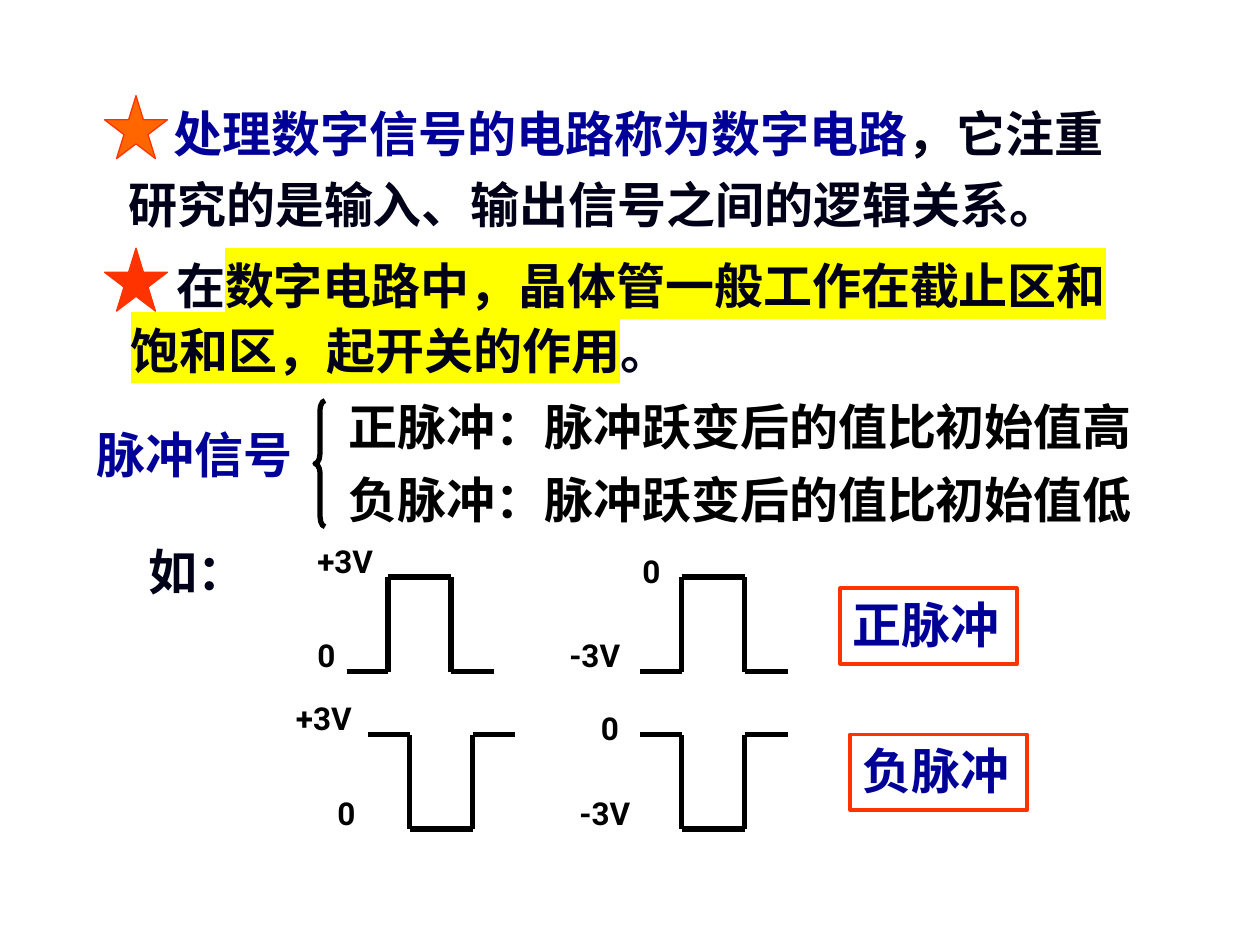
from itertools import pairwise

from lxml.etree import SubElement
from pptx import Presentation
from pptx.dml.color import RGBColor
from pptx.enum.shapes import MSO_CONNECTOR as Connector, MSO_SHAPE as Preset
from pptx.enum.text import MSO_ANCHOR as Anchor, MSO_AUTO_SIZE as AutoSize, PP_ALIGN as Align
from pptx.oxml.ns import qn
from pptx.util import Inches, Pt

FONT = "Roboto"
BLACK, INK, BLUE = "000000", "000018", "000099"
RED, ORANGE, YELLOW = "FF3300", "FF6600", "FFFF00"
PULSE_STEPS = (0, 0.33, 0.33, 0.83, 0.83, 1.17)


def rgb(value):
    """Turn a hex string into a colour."""
    return RGBColor.from_string(value)


def add_span(para, text, color, size=28, highlight=None):
    """Append a bold run to a paragraph."""
    span = para.add_run()
    span.text = text
    span.font.size, span.font.bold = Pt(size), True
    span.font.color.rgb = rgb(color)
    if highlight:
        mark = SubElement(span.font._element, qn("a:highlight"))
        SubElement(mark, qn("a:srgbClr")).set("val", highlight)
    span.font.name = FONT


def fill_frame(frame, spans, wrap=False, spacing=None, anchor=Anchor.TOP, size=28):
    """Lay out a text frame and write its spans, returning the paragraph."""
    frame.word_wrap = wrap
    frame.auto_size = AutoSize.SHAPE_TO_FIT_TEXT
    frame.vertical_anchor = anchor
    para = frame.paragraphs[0]
    para.alignment = Align.LEFT
    if spacing:
        para.line_spacing = spacing
    for text, color, *highlight in spans:
        add_span(para, text, color, size, *highlight)
    return para


def add_text(page, bounds, spans, **layout):
    """Add a text box and return its paragraph."""
    box = page.shapes.add_textbox(*map(Inches, bounds))
    return fill_frame(box.text_frame, spans, **layout)


def add_preset(page, preset, bounds, line, width, fill=None):
    """Add a preset shape with an outline and an optional fill."""
    shape = page.shapes.add_shape(preset, *map(Inches, bounds))
    shape.shadow.inherit = False
    if fill:
        shape.fill.solid()
        shape.fill.fore_color.rgb = rgb(fill)
    else:
        shape.fill.background()
    shape.line.color.rgb = rgb(line)
    shape.line.width = Pt(width)
    return shape


def add_starred_text(page, bounds, spans, spacing, star_top, star_fill):
    """Add a paragraph whose first line makes room for a star."""
    para = add_text(page, bounds, spans, wrap=True, spacing=spacing, anchor=Anchor.MIDDLE)
    para._p.get_or_add_pPr().set("indent", str(Inches(0.36)))
    add_preset(page, Preset.STAR_5_POINT, (0.83, star_top, 0.5, 0.5), RED, 0.75, star_fill)


def add_pulse(page, left, base, peak):
    """Draw a square pulse from its base level to its peak level and back."""
    levels = (base, base, peak, peak, base, base)
    points = [(Inches(left + step), Inches(level)) for step, level in zip(PULSE_STEPS, levels)]
    for start, end in pairwise(points):
        edge = page.shapes.add_connector(Connector.STRAIGHT, *start, *end)
        edge.line.color.rgb = rgb(BLACK)
        edge.line.width = Pt(3)
        SubElement(edge._element.spPr, qn("a:effectLst"))


def add_level(page, left, top, text):
    """Label a voltage level beside a pulse."""
    width = 0.33 if text == "0" else 0.83
    add_text(page, (left, top, width, 0.5), [(text, BLACK)], wrap=True, size=18)


def add_name(page, left, top, text):
    """Add a framed pulse name."""
    frame = add_preset(page, Preset.RECTANGLE, (left, top, 1.4, 0.6), RED, 2.25)
    fill_frame(frame.text_frame, [(text, BLUE)])


def add_classification(page):
    """Add the braced list of the two kinds of pulse."""
    add_text(page, (0.67, 3.27, 1.76, 0.61), [("脉冲信号", BLUE)], spacing=1.1)
    brace = add_preset(page, Preset.LEFT_BRACE, (2.5, 3.18, 0.08, 1), BLACK, 3)
    brace.adjustments[0], brace.adjustments[1] = 1, 0.5
    for top, text in ((3.1, "正脉冲：脉冲跃变后的值比初始值高"),
                      (3.68, "负脉冲：脉冲跃变后的值比初始值低")):
        add_text(page, (2.67, top, 6.45, 0.57), [(text, BLACK)])


def add_examples(page):
    """Add the example pulses with their levels and names."""
    add_text(page, (1.08, 4.25, 0.98, 0.57), [("如：", INK)])
    for left, base, peak in ((2.75, 5.33, 4.58), (5.08, 5.33, 4.58),
                             (2.92, 5.83, 6.58), (5.08, 5.83, 6.58)):
        add_pulse(page, left, base, peak)
    for left, top, text in ((2.42, 5, "0"), (2.42, 4.25, "+3V"),
                            (5, 4.33, "0"), (4.42, 5, "-3V"),
                            (2.58, 6.25, "0"), (2.25, 5.5, "+3V"),
                            (4.67, 5.58, "0"), (4.5, 6.25, "-3V")):
        add_level(page, left, top, text)
    add_name(page, 6.67, 4.67, "正脉冲")
    add_name(page, 6.75, 5.83, "负脉冲")


def main():
    """Build the slide on digital circuits and pulses."""
    deck = Presentation()
    deck.slide_width, deck.slide_height = Inches(10), Inches(7.5)
    page = deck.slides.add_slide(deck.slide_layouts[6])
    add_starred_text(page, (0.92, 0.68, 8.18, 1.22), [
        ("处理数字信号的电路称为数字电路", BLUE),
        ("，它注重研究的是输入、输出信号之间的逻辑关系。", INK),
    ], 1.2, 0.76, ORANGE)
    add_starred_text(page, (0.94, 1.93, 8.06, 1.13), [
        ("在", INK),
        ("数字电路中，晶体管一般工作在截止区和饱和区，起开关的作用", INK, YELLOW),
        ("。", INK),
    ], 1.1, 1.97, RED)
    add_classification(page)
    add_examples(page)
    deck.save("out.pptx")


if __name__ == "__main__":
    main()
